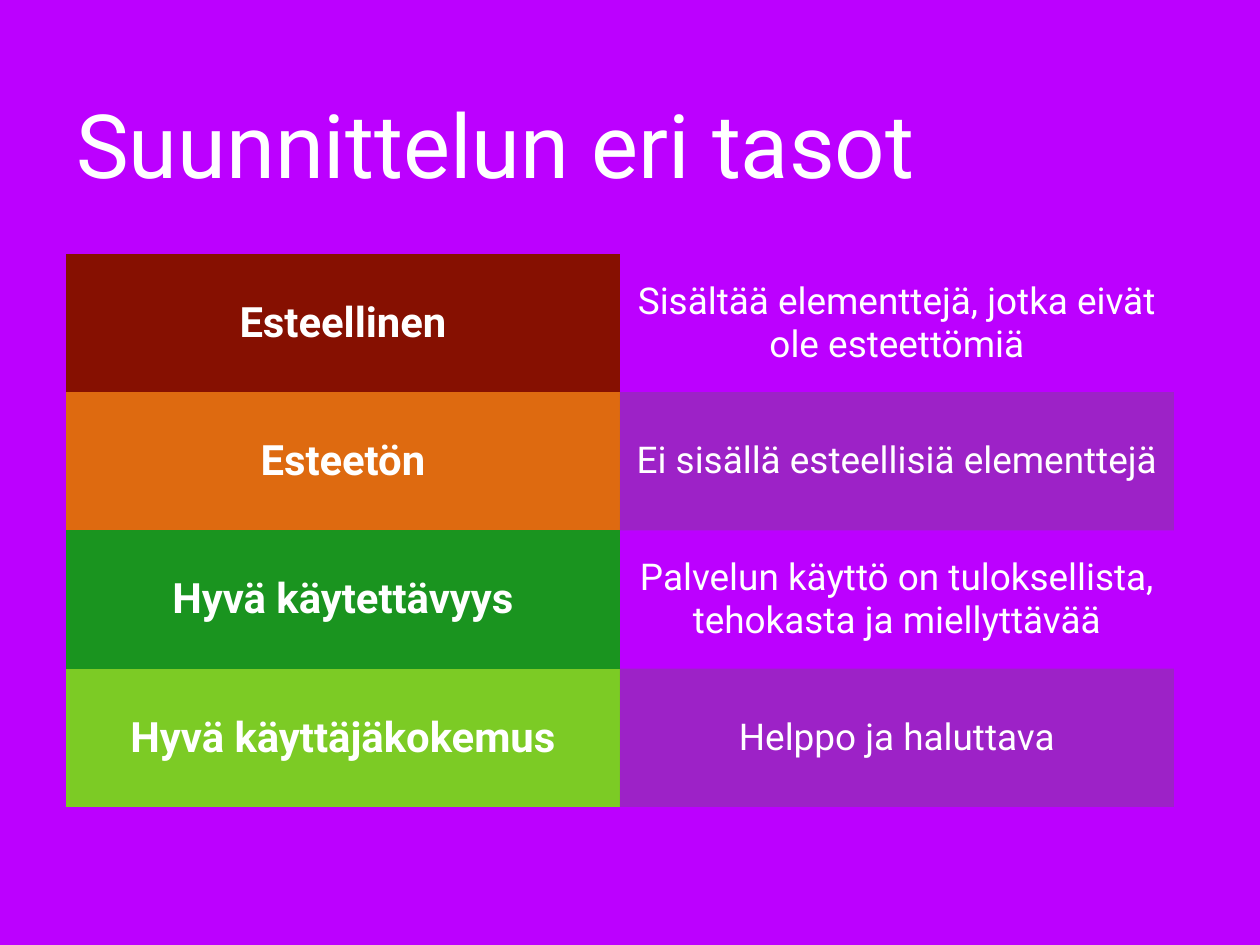
from lxml import etree
from pptx import Presentation
from pptx.dml.color import RGBColor
from pptx.enum.text import MSO_ANCHOR as Anchor, MSO_AUTO_SIZE as AutoSize, PP_ALIGN as Align
from pptx.oxml.ns import qn
from pptx.util import Pt

TITLE = "Suunnittelun eri tasot"
LEVELS = [
    ("Esteellinen", "Sisältää elementtejä, jotka eivät ole esteettömiä", "red"),
    ("Esteetön", "Ei sisällä esteellisiä elementtejä", "orange"),
    ("Hyvä käytettävyys", "Palvelun käyttö on tuloksellista, tehokasta ja miellyttävää", "green"),
    ("Hyvä käyttäjäkokemus", "Helppo ja haluttava", "lime"),
]
COLORS = {
    "background": "BC00FF",
    "text": "FFFFFF",
    "band": "676164",
    "red": "861001",
    "orange": "DE6A10",
    "green": "1A941F",
    "lime": "7CCB25",
}
FONT = "Roboto"
BAND_OPACITY = 36
SLIDE_SIZE = (1260, 945)
TITLE_BOX = (76, 25, 1108, 237)
TABLE_BOX = (66, 254, 1108, 553)
CELL_MARGIN = 5
EMU_PER_PX = 10321


def px(length):
    return round(length * EMU_PER_PX)


def color(name):
    return RGBColor.from_string(COLORS[name])


def write(frame, text, size, bold=False, align=Align.CENTER):
    paragraph = frame.paragraphs[0]
    paragraph.alignment = align
    run = paragraph.add_run()
    run.text = text
    run.font.name = FONT
    run.font.size = Pt(size)
    run.font.bold = bold
    run.font.color.rgb = color("text")


def fill_cell(cell, name=None, opacity=100):
    properties = cell._tc.get_or_add_tcPr()
    if name:
        cell.fill.solid()
        cell.fill.fore_color.rgb = color(name)
        if opacity < 100:
            alpha = etree.SubElement(properties.find(".//" + qn("a:srgbClr")), qn("a:alpha"))
            alpha.set("val", str(opacity * 1000))
    else:
        cell.fill.background()
    for index, side in enumerate(("lnL", "lnR", "lnT", "lnB")):
        border = etree.Element(qn("a:" + side), w="0")
        etree.SubElement(border, qn("a:noFill"))
        properties.insert(index, border)


def format_cell(cell):
    cell.vertical_anchor = Anchor.MIDDLE
    cell.margin_left = cell.margin_right = px(CELL_MARGIN)
    cell.margin_top = cell.margin_bottom = px(CELL_MARGIN)


def add_title(slide):
    title = slide.shapes.title
    title.left, title.top, title.width, title.height = map(px, TITLE_BOX)
    frame = title.text_frame
    frame.margin_left = frame.margin_right = frame.margin_top = frame.margin_bottom = 0
    frame.vertical_anchor = Anchor.MIDDLE
    frame.word_wrap = True
    frame.auto_size = AutoSize.NONE
    write(frame, TITLE, 72, align=Align.LEFT)


def add_levels(slide):
    table = slide.shapes.add_table(len(LEVELS), 2, *map(px, TABLE_BOX)).table
    table.first_row = table.horz_banding = False
    for row, (level, description, fill) in enumerate(LEVELS):
        name_cell, description_cell = table.cell(row, 0), table.cell(row, 1)
        format_cell(name_cell)
        format_cell(description_cell)
        fill_cell(name_cell, fill)
        fill_cell(description_cell, "band" if row % 2 else None, BAND_OPACITY)
        write(name_cell.text_frame, level, 34, bold=True)
        write(description_cell.text_frame, description, 30)


def main():
    presentation = Presentation()
    presentation.slide_width, presentation.slide_height = map(px, SLIDE_SIZE)
    slide = presentation.slides.add_slide(presentation.slide_layouts[5])
    slide.background.fill.solid()
    slide.background.fill.fore_color.rgb = color("background")
    add_title(slide)
    add_levels(slide)
    presentation.save("out.pptx")


if __name__ == "__main__":
    main()
